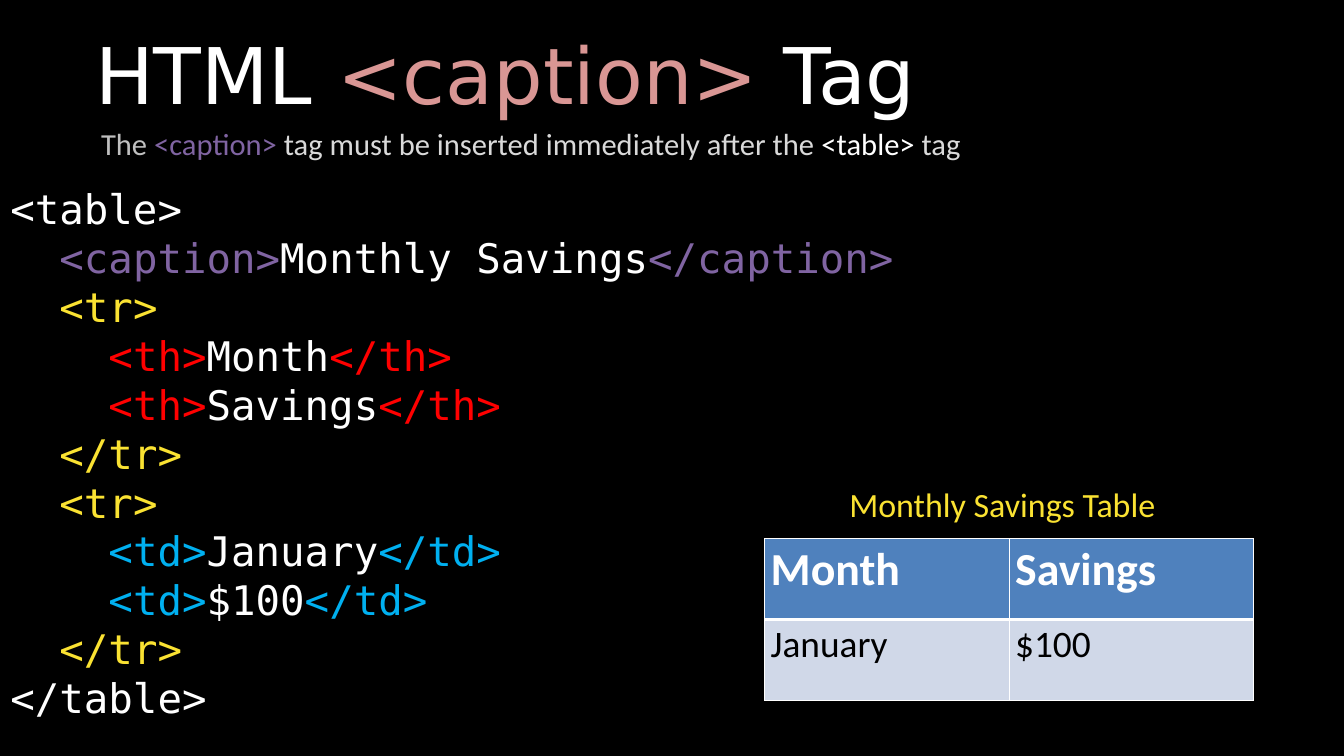
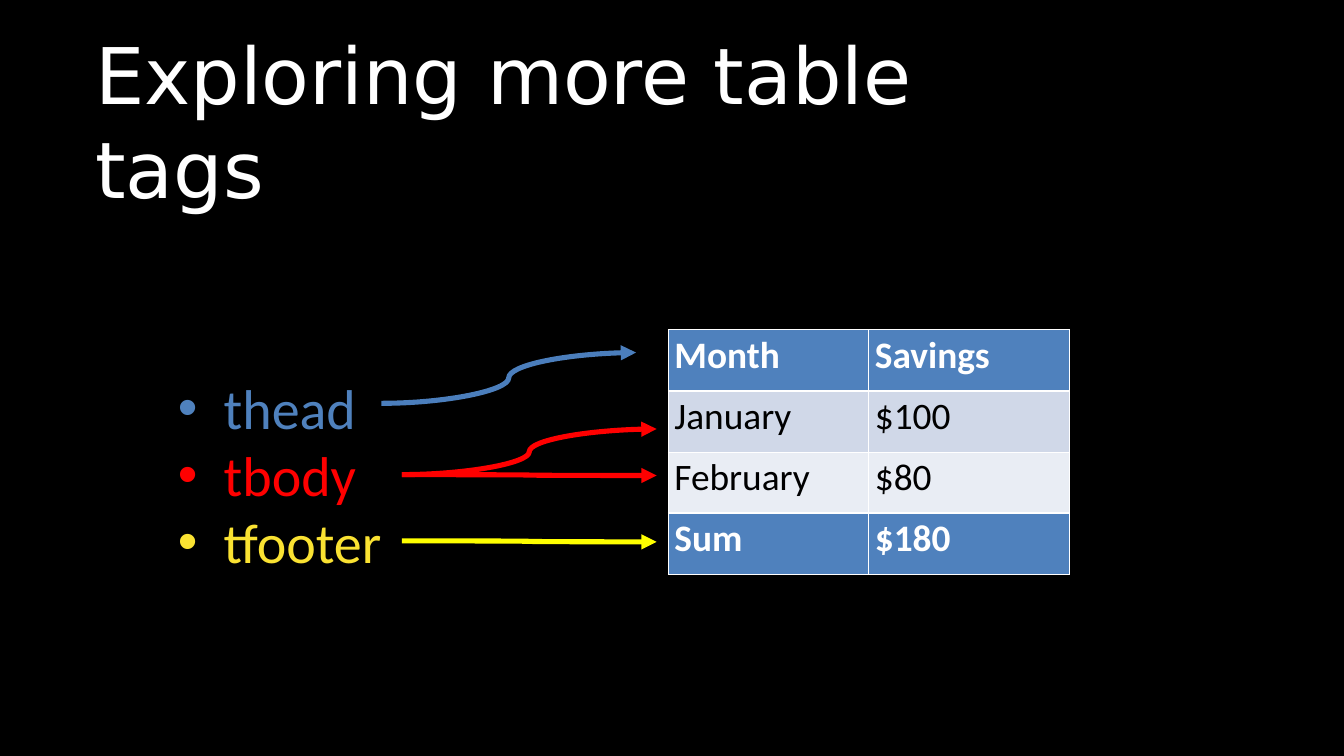
from dataclasses import dataclass

from lxml import etree
from pptx import Presentation
from pptx.dml.color import RGBColor
from pptx.enum import shapes, text
from pptx.oxml import ns
from pptx.util import Pt


@dataclass(frozen=True)
class Theme:
    # Colours
    black: str = "000000"
    white: str = "FFFFFF"
    light: str = "D9D9D9"
    grey: str = "BFBFBF"
    pink: str = "D99694"
    purple: str = "8064A2"
    gold: str = "FAE232"
    yellow: str = "FFFF00"
    red: str = "FF0000"
    sky: str = "00B0F0"
    blue: str = "4F81BD"
    blue_line: str = "4B7EBC"
    band_dark: str = "D0D8E8"
    band_light: str = "E9EDF4"
    # Fonts
    heading: str = "DejaVu Sans"
    body: str = "Calibri"
    code: str = "DejaVu Sans Mono"
    # Type sizes
    title_size: int = 92
    list_size: int = 66
    head_size: int = 54
    code_size: int = 48
    cell_size: int = 44
    caption_size: int = 40
    note_size: int = 36
    # Line widths
    thin: int = 1
    thick: int = 3
    arrow: int = 6


T = Theme()
SLIDE_W, SLIDE_H = 1583.28, 890.64
LEADING = 1.2
CODE_INDENT = 57.8
BULLET_INDENT = 54


def rgb(value):
    return RGBColor.from_string(value)


def add_backdrop(s):
    sp = s.shapes.add_shape(shapes.MSO_SHAPE.RECTANGLE, 0, 0,
                            Pt(SLIDE_W), Pt(SLIDE_H))
    sp.shadow.inherit = False
    sp.fill.solid()
    sp.fill.fore_color.rgb = rgb(T.black)
    sp.line.fill.background()


def add_run(p, words, font, size, color, bold=False):
    r = p.add_run()
    r.text = words
    r.font.name, r.font.size, r.font.bold = font, Pt(size), bold
    r.font.color.rgb = rgb(color)


def add_text(s, box, lines, font, size, inset=0, leading=None, align=None):
    """Add a text box; each line is a list of (words, colour) runs."""
    tf = s.shapes.add_textbox(*map(Pt, box)).text_frame
    tf.word_wrap = True
    tf.margin_left = tf.margin_right = Pt(inset)
    tf.margin_top = tf.margin_bottom = Pt(inset / 2)
    for i, line in enumerate(lines):
        p = tf.add_paragraph() if i else tf.paragraphs[0]
        p.alignment = align
        if leading:
            p.line_spacing = Pt(size * leading)
        for words, color in line:
            add_run(p, words, font, size, color)
    return tf


def add_title(s, height, *runs):
    add_text(s, (112.2, 31, 1148.4, height), [runs], T.heading, T.title_size,
             leading=LEADING)


def add_code(s, box, lines):
    """Add code; each line is (nesting level, runs)."""
    tf = add_text(s, box, [runs for _, runs in lines], T.code, T.code_size,
                  leading=LEADING)
    for p, (level, _) in zip(tf.paragraphs, lines):
        p._p.get_or_add_pPr().set("marL", str(Pt(level * CODE_INDENT)))


def add_bullets(s, box, items):
    tf = add_text(s, box, [[item] for item in items], T.body, T.list_size)
    for p in tf.paragraphs:
        pPr = p._p.get_or_add_pPr()
        pPr.set("marL", str(Pt(BULLET_INDENT)))
        pPr.set("indent", str(-Pt(BULLET_INDENT)))
        etree.SubElement(pPr, ns.qn("a:buFont"), typeface="Arial")
        etree.SubElement(pPr, ns.qn("a:buChar"), char="•")


def set_borders(cell, top, bottom):
    tcPr = cell._tc.get_or_add_tcPr()
    widths = {"lnL": T.thin, "lnR": T.thin, "lnT": top, "lnB": bottom}
    for side, width in widths.items():
        ln = etree.SubElement(tcPr, ns.qn(f"a:{side}"), w=str(Pt(width)))
        fill = etree.SubElement(ln, ns.qn("a:solidFill"))
        etree.SubElement(fill, ns.qn("a:srgbClr"), val=T.white)


def add_table(s, box, rows, head_size, footer=False):
    """Add a table with a header, banded rows and an optional footer."""
    n = len(rows)
    table = s.shapes.add_table(n, len(rows[0]), *map(Pt, box)).table
    for i, row in enumerate(rows):
        is_head, is_foot = i == 0, footer and i == n - 1
        strong = is_head or is_foot
        if strong:
            fill, color = T.blue, T.white
        else:
            fill, color = (T.band_dark if i % 2 else T.band_light), T.black
        for j, words in enumerate(row):
            cell = table.cell(i, j)
            set_borders(cell, T.thick if is_foot else T.thin,
                        T.thick if is_head else T.thin)
            cell.fill.solid()
            cell.fill.fore_color.rgb = rgb(fill)
            add_run(cell.text_frame.paragraphs[0], words, T.body,
                    head_size if is_head else T.cell_size, color, strong)


def add_arrow(s, start, end, color):
    c = s.shapes.add_connector(shapes.MSO_CONNECTOR.CURVE,
                               *map(Pt, (*start, *end)))
    c.line.color.rgb = rgb(color)
    c.line.width = Pt(T.arrow)
    etree.SubElement(c.line._get_or_add_ln(), ns.qn("a:tailEnd"),
                     type="triangle")
    etree.SubElement(c._element.spPr, ns.qn("a:effectLst"))


def element(tag, words, color):
    """Runs for a code element with its opening and closing tags."""
    return [(f"<{tag}>", color), (words, T.white), (f"</{tag}>", color)]


def caption_slide(s):
    add_title(s, 111.6, ("HTML ", T.white), ("<caption>", T.pink),
              (" Tag", T.white))
    # Code listing
    row_open, row_close = (1, [("<tr>", T.gold)]), (1, [("</tr>", T.gold)])
    add_code(s, (12.24, 216.8, 1175.8, 640), [
        (0, [("<table>", T.white)]),
        (1, element("caption", "Monthly Savings", T.purple)),
        row_open,
        (2, element("th", "Month", T.red)),
        (2, element("th", "Savings", T.red)),
        row_close,
        row_open,
        (2, element("td", "January", T.sky)),
        (2, element("td", "$100", T.sky)),
        row_close,
        (0, [("</table>", T.white)]),
    ])
    # Rule under the title
    add_text(s, (112, 143.3, 1125.4, 51), [[
        ("The ", T.grey), ("<caption> ", T.purple),
        ("tag must be inserted immediately after the ", T.light),
        ("<table>", T.white), (" tag", T.light)]],
        T.body, T.note_size, inset=7.2)
    # Resulting table and its caption
    add_table(s, (900.7, 634.3, 576, 190.8),
              [("Month", "Savings"), ("January", "$100")], T.head_size)
    add_text(s, (892.8, 566, 576, 55.4),
             [[("Monthly Savings Table", T.gold)]], T.body, T.caption_size,
             inset=7.2, align=text.PP_ALIGN.CENTER)


def sections_slide(s):
    add_title(s, 223.2, ("Exploring more table tags", T.white))
    # Section tags
    add_bullets(s, (209.5, 439.6, 264.2, 239.8),
                [("thead", T.blue), ("tbody", T.red), ("tfooter", T.gold)])
    # Table with the sections
    add_table(s, (787.3, 388.4, 472.4, 288), [
        ("Month", "Savings"), ("January", "$100"),
        ("February", "$80"), ("Sum", "$180")], T.cell_size, footer=True)
    # Arrows from tags to rows
    for x, y, end_y, color in [
            (449.3, 475.2, 415.4, T.blue_line),
            (473.5, 559.2, 505.4, T.red),
            (473.5, 559.2, 560.2, T.red),
            (473.5, 637.2, 638.4, T.yellow)]:
        add_arrow(s, (x, y), (x + 300, end_y), color)


def main():
    prs = Presentation()
    prs.slide_width, prs.slide_height = Pt(SLIDE_W), Pt(SLIDE_H)
    for build in (caption_slide, sections_slide):
        s = prs.slides.add_slide(prs.slide_layouts[6])
        add_backdrop(s)
        build(s)
    prs.save("out.pptx")


if __name__ == "__main__":
    main()
